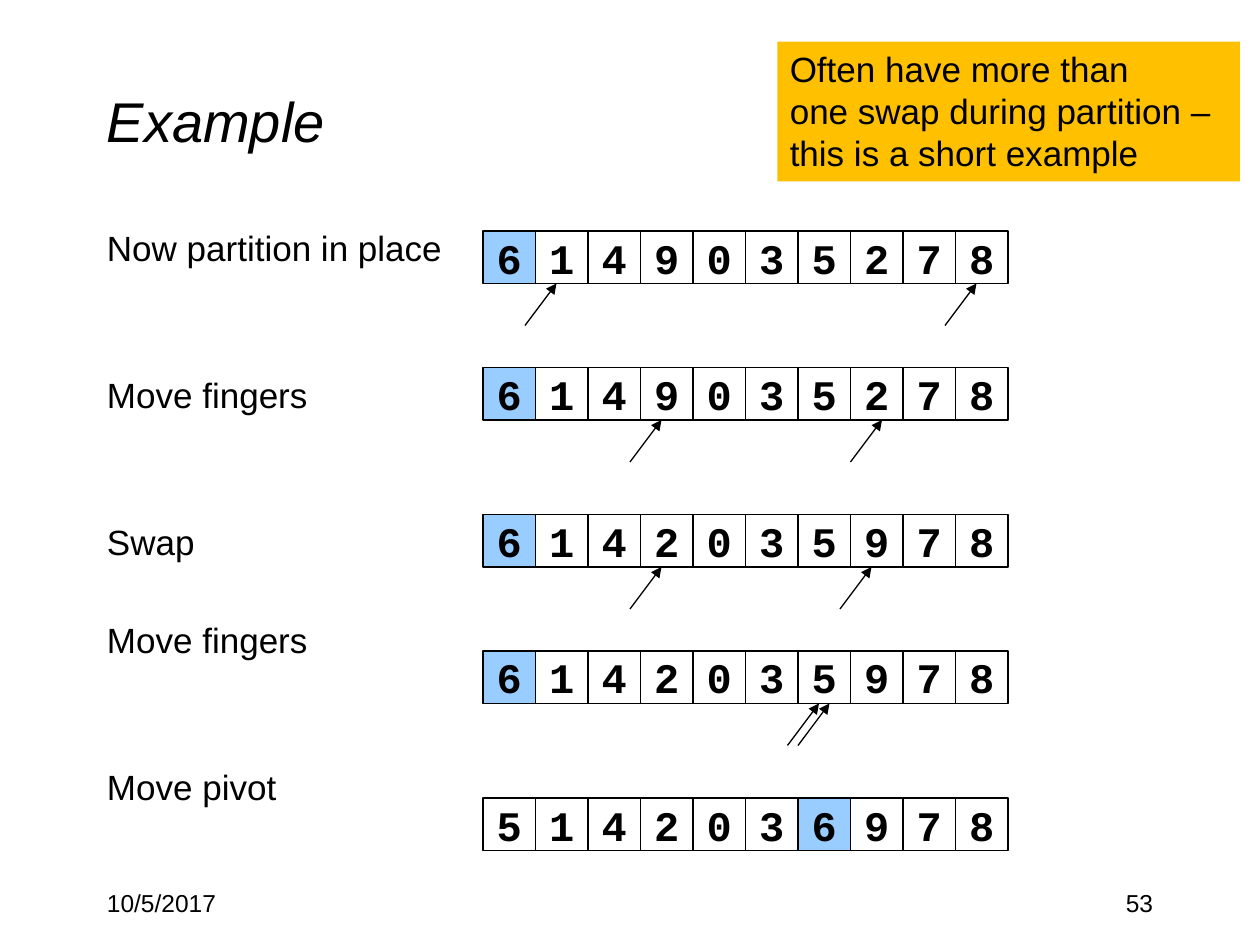
from lxml import etree
from pptx import Presentation
from pptx.dml.color import RGBColor
from pptx.enum import shapes, text
from pptx.oxml.ns import qn
from pptx.util import Inches, Pt

TITLE = "Example"
NOTE = ["Often have more than", "one swap during partition –", "this is a short example"]
DATE, PAGE = "10/5/2017", "53"

# Step label, and lines down from the label before
LABELS = [("Now partition in place", 0), ("Move fingers", 3), ("Swap", 3),
          ("Move fingers", 2), ("Move pivot", 3)]
LINE, GAP = 24, 4  # points

# Arrays on a grid of 1/12 inch: top, digits, pivot index, finger tips
ARRAYS = [
    (22, "6149035278", 0, (53, 93)),
    (35, "6149035278", 0, (63, 84)),
    (49, "6142035978", 0, (63, 83)),
    (62, "6142035978", 0, (79, 78)),
    (76, "5142036978", 6, ()),
]
LEFT, CELL = 46, 5
FINGER_DX, FINGER_DY = 3, 4
BLACK, PIVOT, AMBER = "000000", "99CCFF", "FFC000"


def rgb(value):
    return RGBColor.from_string(value)


def grid(n):
    return Inches(n / 12)


def add_run(p, words, size, font="Arial", bold=False, italic=False):
    r = p.add_run()
    r.text = words
    r.font.size, r.font.name = Pt(size), font
    r.font.bold, r.font.italic = bold, italic
    r.font.color.rgb = rgb(BLACK)


def add_text(s, box, words, size, align=text.PP_ALIGN.LEFT,
             anchor=text.MSO_ANCHOR.TOP, italic=False):
    tf = s.shapes.add_textbox(*map(Inches, box)).text_frame
    tf.word_wrap, tf.vertical_anchor = True, anchor
    tf.paragraphs[0].alignment = align
    add_run(tf.paragraphs[0], words, size, italic=italic)


def add_rect(parent, left, top, width, height, fill=None, line=None):
    sp = parent.shapes.add_shape(shapes.MSO_SHAPE.RECTANGLE, left, top, width, height)
    sp.shadow.inherit = False
    if fill:
        sp.fill.solid()
        sp.fill.fore_color.rgb = rgb(fill)
    else:
        sp.fill.background()
    if line:
        sp.line.color.rgb, sp.line.width = rgb(line), Pt(0.75)
    else:
        sp.line.fill.background()
    return sp


def add_cell(group, left, top, digit, fill):
    sp = add_rect(group, grid(left), grid(top), grid(CELL), grid(CELL), fill, BLACK)
    tf = sp.text_frame
    tf.word_wrap, tf.vertical_anchor = False, text.MSO_ANCHOR.MIDDLE
    p = tf.paragraphs[0]
    p.alignment = text.PP_ALIGN.CENTER
    add_run(p, digit, 24, "Courier New", bold=True)


def add_finger(group, x, y):
    c = group.shapes.add_connector(shapes.MSO_CONNECTOR.STRAIGHT, grid(x - FINGER_DX),
                                   grid(y + FINGER_DY), grid(x), grid(y))
    c.line.color.rgb, c.line.width = rgb(BLACK), Pt(0.75)
    etree.SubElement(c.line._get_or_add_ln(), qn("a:tailEnd"), type="triangle")
    etree.SubElement(c._element.spPr, qn("a:effectLst"))


def main():
    prs = Presentation()
    prs.slide_width, prs.slide_height = Inches(10), Inches(7.5)
    s = prs.slides.add_slide(prs.slide_layouts[6])

    # Title and footer
    add_text(s, (0.75, 0.33, 8.5, 1.25), TITLE, 32,
             anchor=text.MSO_ANCHOR.MIDDLE, italic=True)
    add_text(s, (0.75, 7, 2.08, 0.5), DATE, 14)
    add_text(s, (7.17, 7, 2.08, 0.5), PAGE, 14, align=text.PP_ALIGN.RIGHT)

    # Step labels
    tf = s.shapes.add_textbox(*map(Inches, (0.75, 1.75, 3.25, 4.92))).text_frame
    tf.word_wrap = True
    for i, (label, lines) in enumerate(LABELS):
        p = tf.add_paragraph() if i else tf.paragraphs[0]
        p.space_before = Pt(lines * (LINE + GAP) - LINE if lines else GAP)
        add_run(p, label, 20)

    # Arrays with their fingers
    for top, digits, pivot, tips in ARRAYS:
        group = s.shapes.add_group_shape()
        for i, digit in enumerate(digits):
            add_cell(group, LEFT + i * CELL, top, digit, PIVOT if i == pivot else None)
        for tip in tips:
            add_finger(group, tip, top + CELL)

    # Note
    tf = add_rect(s, *map(Inches, (6.17, 0.33, 3.67, 1.11)), fill=AMBER).text_frame
    tf.word_wrap, tf.vertical_anchor = True, text.MSO_ANCHOR.TOP
    for i, words in enumerate(NOTE):
        p = tf.add_paragraph() if i else tf.paragraphs[0]
        p.alignment = text.PP_ALIGN.LEFT
        add_run(p, words, 20)

    prs.save("out.pptx")


if __name__ == "__main__":
    main()
